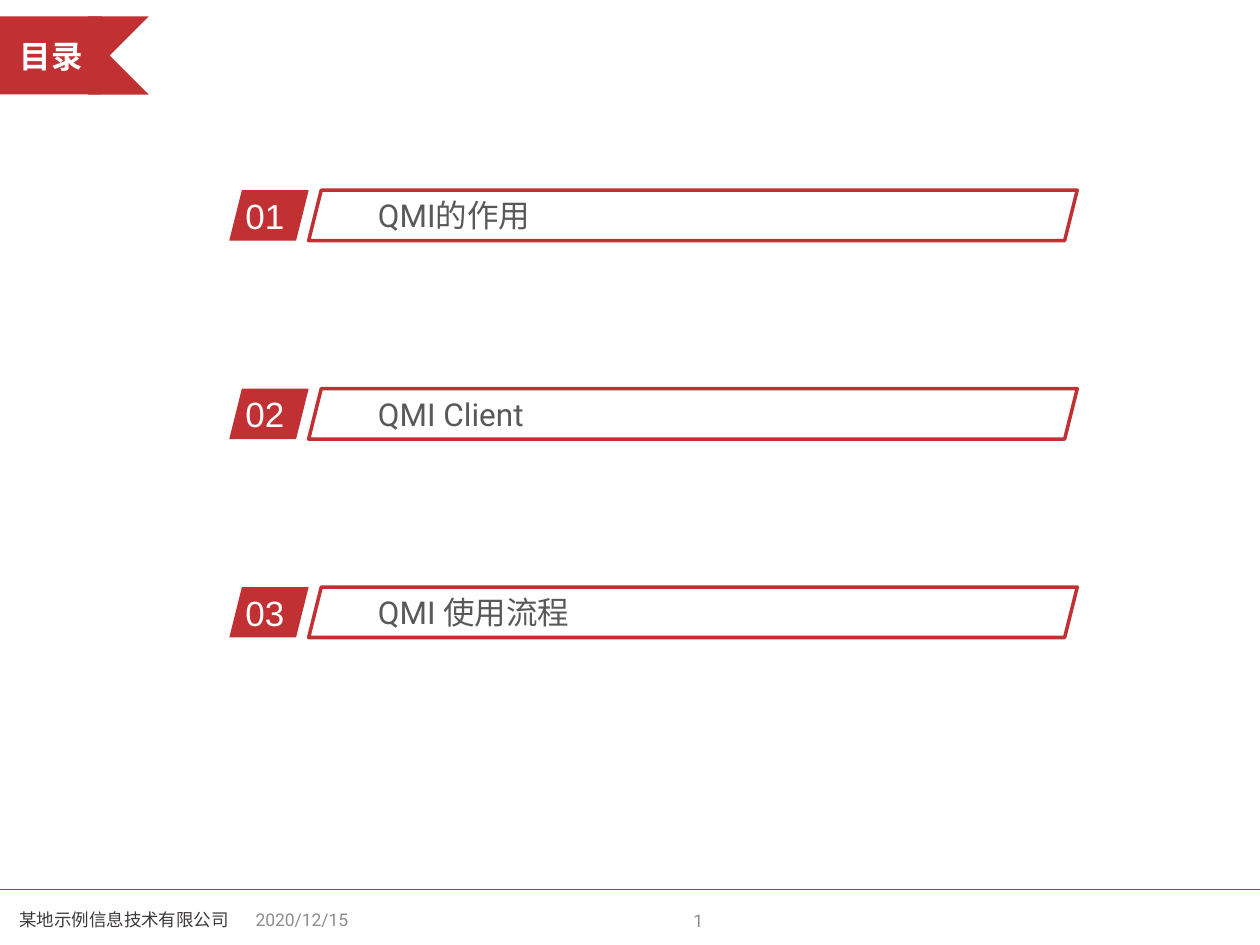
from lxml.etree import SubElement
from pptx import Presentation
from pptx.dml.color import RGBColor
from pptx.enum.shapes import MSO_CONNECTOR, MSO_SHAPE
from pptx.enum.text import MSO_ANCHOR, PP_ALIGN as AL
from pptx.oxml.ns import qn
from pptx.util import Inches, Pt

# Content
TITLE = "目录"
TOPICS = ["QMI的作用", "QMI Client", "QMI 使用流程"]
FOOTER = [  # text, left, top, width, alignment, colour
    ("2020/12/15", 1.93, 7.1, 2.33, AL.LEFT, "8C8C8C"),
    ("某地示例信息技术有限公司", -0.83, 7.1, 3.63, AL.CENTER, "3E3A39"),
    ("1", 3.35, 7.11, 2.33, AL.RIGHT, "8C8C8C"),
]

# Layout and style
W, H = 10, 7.5
RED, WHITE, GREY = "C13133", "FFFFFF", "595959"
FIRST_ROW, ROW_STEP, BAR_H = 1.51, 1.575, 0.4
TAG_X, TAG_W, BAR_W = 1.82, 0.63, 6.1
NUM_W, NUM_H = 0.87, 0.47
RIBBON_Y, RIBBON_H = 0.13, 0.62

prs = Presentation()
prs.slide_width, prs.slide_height = Inches(W), Inches(H)
slide = prs.slides.add_slide(prs.slide_layouts[6])


def rgb(color):
    return RGBColor.from_string(color)


def write(s, text, size, font, color, align=AL.LEFT, bold=False, inset=(0.1, 0.05)):
    tf = s.text_frame
    tf.text = text
    tf.word_wrap = True
    tf.vertical_anchor = MSO_ANCHOR.MIDDLE
    tf.margin_left = tf.margin_right = Inches(inset[0])
    tf.margin_top = tf.margin_bottom = Inches(inset[1])
    p = tf.paragraphs[0]
    p.alignment = align
    f = p.runs[0].font
    f.size, f.name, f.bold = Pt(size), font, bold
    f.color.rgb = rgb(color)


def add_shape(kind, box, fill, line=None, opacity=None):
    s = slide.shapes.add_shape(kind, *map(Inches, box))
    s.shadow.inherit = False
    s.fill.solid()
    s.fill.fore_color.rgb = rgb(fill)
    if opacity:
        clr = s.fill._xPr.find(qn("a:solidFill"))[0]
        SubElement(clr, qn("a:alpha")).set("val", str(opacity * 1000))
    if line:
        s.line.color.rgb = rgb(line)
        s.line.width = Pt(2)
        SubElement(s.line._get_or_add_ln(), qn("a:round"))
    else:
        s.line.fill.background()
    return s


def add_text(box, *args, **kwargs):
    write(slide.shapes.add_textbox(*map(Inches, box)), *args, **kwargs)


# Footer rule
rule = slide.shapes.add_connector(
    MSO_CONNECTOR.STRAIGHT, 0, Inches(7.06), Inches(W), Inches(7.06))
rule.line.color.rgb = rgb(RED)
rule.line.width = Pt(0.75)
SubElement(rule._element.spPr, qn("a:effectLst"))

# Title ribbon: a chevron turned to the left behind a rectangle
tail = add_shape(MSO_SHAPE.CHEVRON, (0.39, RIBBON_Y, 0.79, RIBBON_H), RED)
tail.rotation = 180
ribbon = add_shape(MSO_SHAPE.RECTANGLE, (0, RIBBON_Y, 0.81, RIBBON_H), RED)
write(ribbon, TITLE, 18, "Arial", WHITE, AL.CENTER, bold=True, inset=(0.1, 0.16))

# Agenda rows
for i, topic in enumerate(TOPICS):
    y = FIRST_ROW + i * ROW_STEP
    bar = add_shape(MSO_SHAPE.PARALLELOGRAM, (TAG_X + TAG_W, y, BAR_W, BAR_H),
                    WHITE, RED, opacity=70)
    write(bar, topic, 18, "Roboto", GREY, inset=(0, 0.05))
    add_shape(MSO_SHAPE.PARALLELOGRAM, (TAG_X, y, TAG_W, BAR_H), RED)
    add_text((TAG_X + 0.03, y + (BAR_H - NUM_H) / 2, NUM_W, NUM_H),
             f"{i + 1:02d}", 20, "Arial", WHITE)

# Footer texts
for text, x, y, w, align, color in FOOTER:
    add_text((x, y, w, 0.4), text, 10, "Roboto", color, align)

prs.save("out.pptx")
